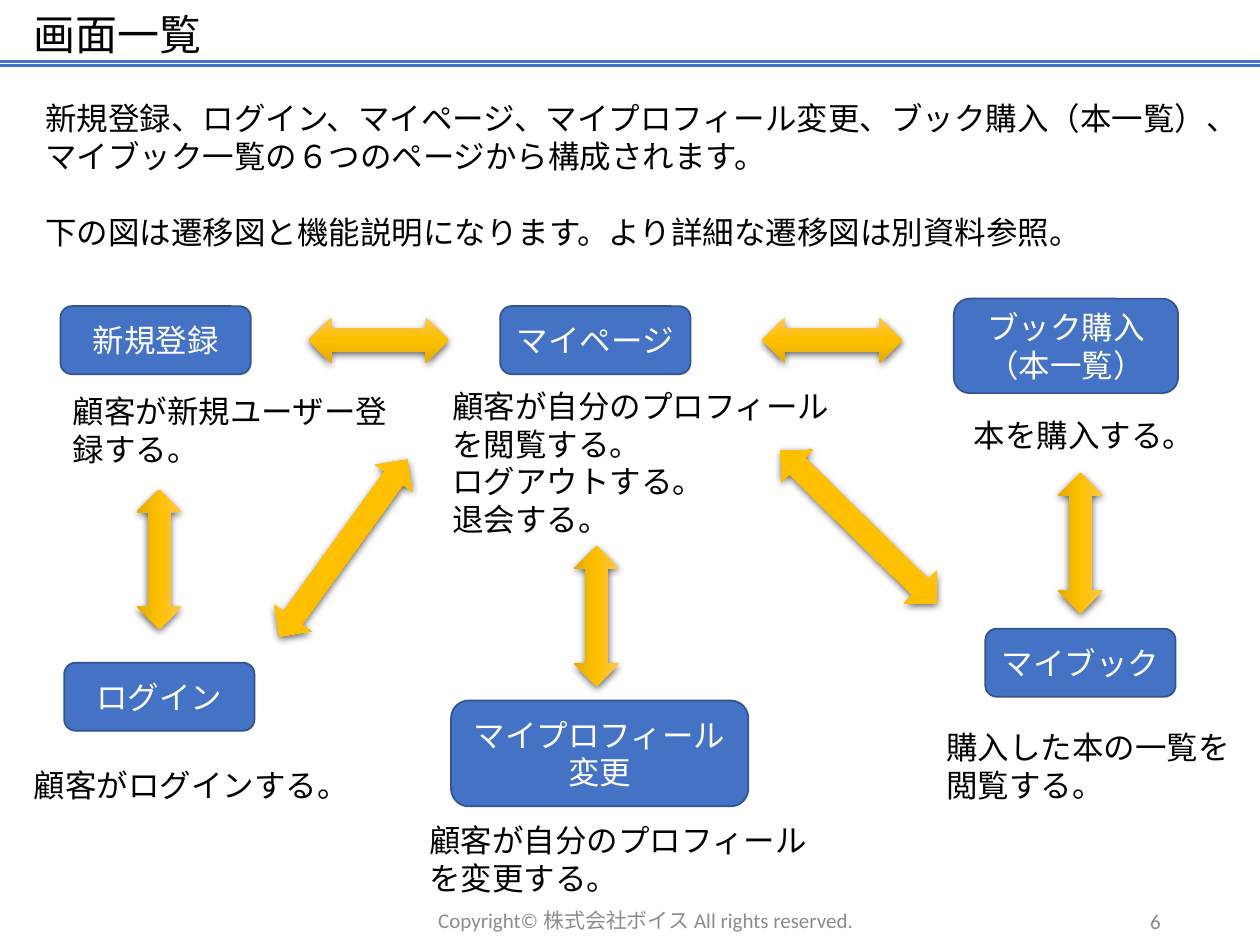
from dataclasses import dataclass

from pptx import Presentation
from pptx.dml.color import RGBColor as Color
from pptx.enum.shapes import MSO_CONNECTOR as Connector
from pptx.enum.shapes import MSO_SHAPE as Shape
from pptx.enum.text import MSO_ANCHOR as Anchor
from pptx.enum.text import PP_ALIGN as Align
from pptx.oxml import parse_xml
from pptx.oxml.ns import nsdecls
from pptx.slide import Slide
from pptx.text.text import TextFrame
from pptx.util import Emu, Pt

EMU_PER_PX = 9144
SLIDE_WIDTH, SLIDE_HEIGHT = 1000, 750
ARROW_THICKNESS = 36


@dataclass(frozen=True)
class Theme:
    font: str = "Calibri"
    title: int = 24
    body: int = 18
    footer: int = 12
    paragraph_gap: float = 21.5
    ink: str = "000000"
    muted: str = "8C8C8C"
    light: str = "FFFFFF"
    blue: str = "4472C4"
    outline: str = "325491"
    arrow_stops: tuple[str, ...] = ("FFC64B", "FFC000", "E3AB00")


THEME = Theme()


@dataclass(frozen=True)
class Screen:
    left: int
    top: int
    text: str
    width: int = 151
    height: int = 54


@dataclass(frozen=True)
class Label:
    left: int
    top: int
    width: int
    height: int
    text: str
    size: int = THEME.body
    color: str = THEME.ink
    align: Align = Align.LEFT
    anchor: Anchor = Anchor.TOP
    gap: float = 0


@dataclass(frozen=True)
class Arrow:
    left: int
    top: int
    length: int = 111
    rotation: float = 0


RULES = (49, 52)

SCREENS = (
    Screen(782, 499, "マイブック"),
    Screen(397, 243, "マイページ"),
    Screen(48, 243, "新規登録"),
    Screen(51, 526, "ログイン"),
    Screen(358, 556, "マイプロフィール変更", 236, 84),
    Screen(757, 237, "ブック購入\n（本一覧）", 178, 75),
)

ARROWS = (
    Arrow(245, 252),
    Arrow(605, 252),
    Arrow(71, 426, rotation=90),
    Arrow(418, 471, rotation=90),
    Arrow(802, 413, rotation=90),
    Arrow(595, 400, 173, 44.5),
    Arrow(186, 417, 173, 305.8),
)

LABELS = (
    Label(17, 2, 306, 50, "画面一覧", THEME.title),
    Label(
        26, 74, 947, 192,
        "新規登録、ログイン、マイページ、マイプロフィール変更、ブック購入（本一覧）、"
        "マイブック一覧の６つのページから構成されます。\n"
        "下の図は遷移図と機能説明になります。より詳細な遷移図は別資料参照。",
        gap=THEME.paragraph_gap,
    ),
    Label(48, 306, 270, 71, "顧客が新規ユーザー登録する。"),
    Label(17, 603, 306, 40, "顧客がログインする。"),
    Label(331, 647, 330, 71, "顧客が自分のプロフィールを変更する。"),
    Label(
        349, 302, 327, 131,
        "顧客が自分のプロフィールを閲覧する。\nログアウトする。\n退会する。",
    ),
    Label(763, 325, 224, 40, "本を購入する。"),
    Label(741, 573, 261, 71, "購入した本の一覧を閲覧する。"),
    Label(
        325, 710, 375, 40, "Copyright© 株式会社ボイス All rights reserved.",
        THEME.footer, THEME.muted, Align.CENTER, Anchor.MIDDLE,
    ),
    Label(
        706, 711, 225, 40, "6",
        THEME.footer, THEME.muted, Align.RIGHT, Anchor.MIDDLE,
    ),
)


def px(value: int) -> Emu:
    return Emu(value * EMU_PER_PX)


def write_text(
    frame: TextFrame, text: str, size: int, color: str,
    align: Align, anchor: Anchor, gap: float = 0,
) -> None:
    frame.word_wrap = True
    frame.vertical_anchor = anchor
    frame.text = text
    for index, para in enumerate(frame.paragraphs):
        para.alignment = align
        if index and gap:
            para.space_before = Pt(gap)
        for span in para.runs:
            span.font.name = THEME.font
            span.font.size = Pt(size)
            span.font.color.rgb = Color.from_string(color)


def draw_rule(page: Slide, top: int) -> None:
    rule = page.shapes.add_connector(
        Connector.STRAIGHT, px(SLIDE_WIDTH), px(top), px(0), px(top)
    )
    rule.line.color.rgb = Color.from_string(THEME.blue)
    rule.line.width = Pt(1.5)
    rule._element.spPr.append(parse_xml(f"<a:effectLst {nsdecls('a')}/>"))


def draw_screen(page: Slide, screen: Screen) -> None:
    box = page.shapes.add_shape(
        Shape.ROUNDED_RECTANGLE, px(screen.left), px(screen.top),
        px(screen.width), px(screen.height),
    )
    box.shadow.inherit = False
    box.fill.solid()
    box.fill.fore_color.rgb = Color.from_string(THEME.blue)
    box.line.color.rgb = Color.from_string(THEME.outline)
    box.line.width = Pt(1)
    write_text(
        box.text_frame, screen.text, THEME.body, THEME.light,
        Align.CENTER, Anchor.MIDDLE,
    )


def draw_arrow(page: Slide, arrow: Arrow) -> None:
    shape = page.shapes.add_shape(
        Shape.LEFT_RIGHT_ARROW, px(arrow.left), px(arrow.top),
        px(arrow.length), px(ARROW_THICKNESS),
    )
    shape.rotation = arrow.rotation
    stops = "".join(
        f'<a:gs pos="{index * 50000}"><a:srgbClr val="{color}"/></a:gs>'
        for index, color in enumerate(THEME.arrow_stops)
    )
    properties = shape._element.spPr
    properties.append(parse_xml(
        f'<a:gradFill {nsdecls("a")} rotWithShape="1"><a:gsLst>{stops}</a:gsLst>'
        '<a:lin ang="5400000" scaled="0"/></a:gradFill>'
    ))
    shape.line.fill.background()
    properties.append(parse_xml(
        f'<a:effectLst {nsdecls("a")}><a:outerShdw blurRad="{Pt(4.5)}" '
        f'dist="{Pt(1.5)}" dir="5400000" algn="ctr" rotWithShape="0">'
        f'<a:srgbClr val="{THEME.ink}"><a:alpha val="63000"/></a:srgbClr>'
        '</a:outerShdw></a:effectLst>'
    ))


def draw_label(page: Slide, label: Label) -> None:
    box = page.shapes.add_textbox(
        px(label.left), px(label.top), px(label.width), px(label.height)
    )
    write_text(
        box.text_frame, label.text, label.size, label.color,
        label.align, label.anchor, label.gap,
    )


def main() -> None:
    deck = Presentation()
    deck.slide_width, deck.slide_height = px(SLIDE_WIDTH), px(SLIDE_HEIGHT)
    page = deck.slides.add_slide(deck.slide_layouts[6])
    for draw, items in (
        (draw_rule, RULES),
        (draw_screen, SCREENS),
        (draw_arrow, ARROWS),
        (draw_label, LABELS),
    ):
        for item in items:
            draw(page, item)
    deck.save("out.pptx")


if __name__ == "__main__":
    main()
